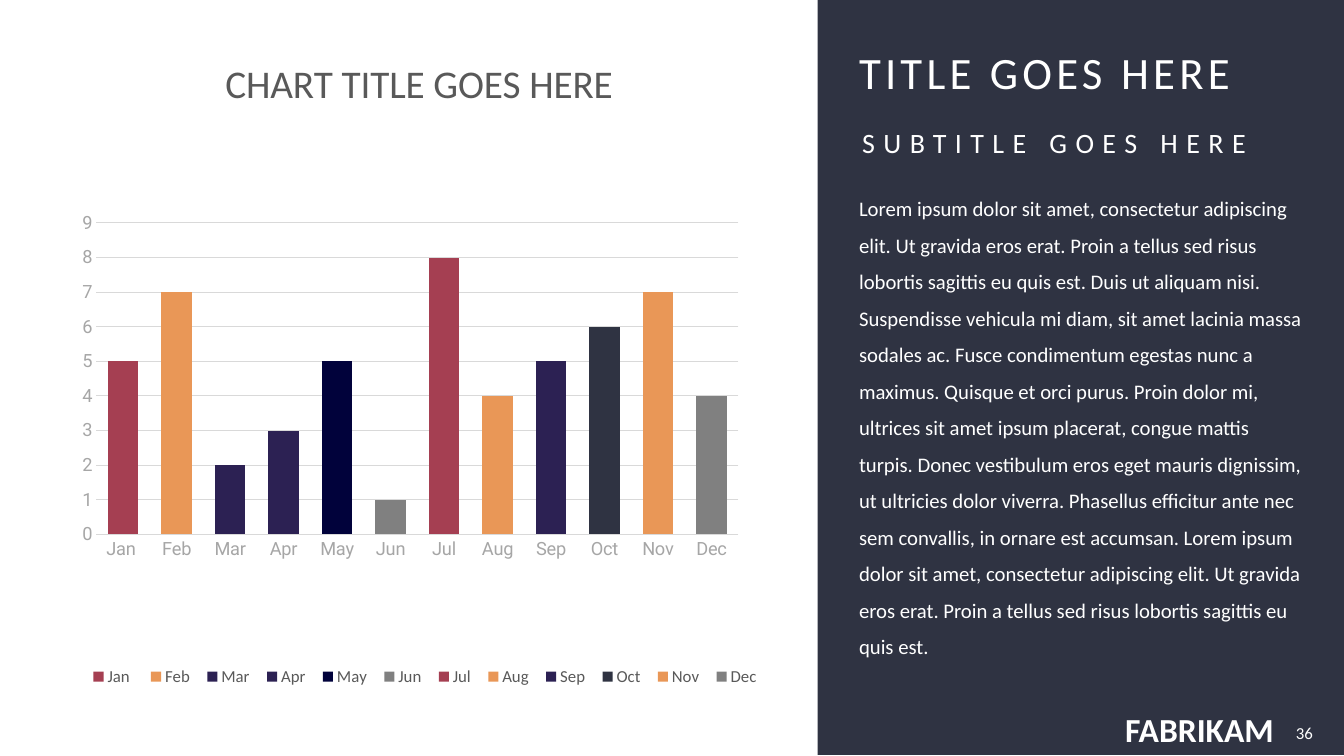
from lxml import etree
from pptx import Presentation
from pptx.chart.data import CategoryChartData
from pptx.dml.color import RGBColor
from pptx.enum.chart import XL_CHART_TYPE, XL_LEGEND_POSITION, XL_TICK_MARK
from pptx.enum.shapes import MSO_SHAPE
from pptx.enum.text import MSO_ANCHOR, MSO_AUTO_SIZE, PP_ALIGN
from pptx.oxml.ns import qn
from pptx.util import Inches, Pt

COLUMN = XL_CHART_TYPE.COLUMN_CLUSTERED
BOTTOM = XL_LEGEND_POSITION.BOTTOM
NO_TICK = XL_TICK_MARK.NONE
RECT = MSO_SHAPE.RECTANGLE
TOP, MIDDLE = MSO_ANCHOR.TOP, MSO_ANCHOR.MIDDLE
NO_FIT = MSO_AUTO_SIZE.NONE
LEFT, RIGHT = PP_ALIGN.LEFT, PP_ALIGN.RIGHT

NAVY, WHITE, GRID = "2F3342", "FFFFFF", "D9D9D9"
RED, ORANGE, PURPLE, INK, GRAY = "A53F52", "E99757", "2C2153", "01023B", "808080"

MONTHS = [
    ("Jan ", 5, RED), ("Feb", 7, ORANGE), ("Mar", 2, PURPLE), ("Apr", 3, PURPLE),
    ("May", 5, INK), ("Jun", 1, GRAY), ("Jul", 8, RED), ("Aug", 4, ORANGE),
    ("Sep", 5, PURPLE), ("Oct", 6, NAVY), ("Nov", 7, ORANGE), ("Dec", 4, GRAY),
]

BODY = (
    "Lorem ipsum dolor sit amet, consectetur adipiscing elit. Ut gravida eros erat. "
    "Proin a tellus sed risus lobortis sagittis eu quis est. Duis ut aliquam nisi. "
    "Suspendisse vehicula mi diam, sit amet lacinia massa sodales ac. Fusce condimentum "
    "egestas nunc a maximus. Quisque et orci purus. Proin dolor mi, ultrices sit amet "
    "ipsum placerat, congue mattis turpis. Donec vestibulum eros eget mauris dignissim, "
    "ut ultricies dolor viverra. Phasellus efficitur ante nec sem convallis, in ornare "
    "est accumsan. Lorem ipsum dolor sit amet, consectetur adipiscing elit. Ut gravida "
    "eros erat. Proin a tellus sed risus lobortis sagittis eu quis est."
)


def rgb(color):
    return RGBColor.from_string(color)


def set_attrs(obj, **values):
    for name, value in values.items():
        setattr(obj, name, value)


def set_font(font, size, color, name="Calibri", bold=False):
    set_attrs(font, size=Pt(size), name=name, bold=bold)
    font.color.rgb = rgb(color)


def set_text(sp, box, text, size, anchor=MIDDLE, align=LEFT, side=0.0, edge=0.05,
             wrap=True, line=1.0, spacing=0, bold=False):
    set_attrs(sp, **dict(zip(("left", "top", "width", "height"), map(Inches, box))))
    tf = sp.text_frame
    set_attrs(tf, auto_size=NO_FIT, word_wrap=wrap, vertical_anchor=anchor,
              margin_left=Inches(side), margin_right=Inches(side),
              margin_top=Inches(edge), margin_bottom=Inches(edge))
    p = tf.paragraphs[0]
    set_attrs(p, alignment=align, line_spacing=line, space_before=Pt(0))
    if sp.is_placeholder:
        pPr = p._p.get_or_add_pPr()
        pPr.set("marL", "0")
        pPr.set("indent", "0")
        etree.SubElement(pPr, qn("a:buNone"))
    r = p.add_run()
    r.text = text
    set_font(r.font, size, WHITE, bold=bold)
    if spacing:
        r._r.get_or_add_rPr().set("spc", str(spacing * 100))


def add_panel(s, left, top, width, height, color):
    sp = s.shapes.add_shape(RECT, Inches(left), Inches(top), Inches(width), Inches(height))
    sp.shadow.inherit = False
    sp.fill.solid()
    sp.fill.fore_color.rgb = rgb(color)
    sp.line.fill.background()
    # Send behind the placeholders
    sp.element.getparent().insert(2, sp.element)


def set_layout(parent, index, **values):
    """Place a chart part by fractions of the chart's size."""
    for old in parent.findall(qn("c:layout")):
        parent.remove(old)
    layout = etree.Element(qn("c:layout"))
    manual = etree.SubElement(layout, qn("c:manualLayout"))
    for tag, value in values.items():
        etree.SubElement(manual, qn("c:" + tag)).set("val", str(value))
    parent.insert(index, layout)


def style_axis(axis):
    set_attrs(axis, major_tick_mark=NO_TICK, minor_tick_mark=NO_TICK)
    set_font(axis.tick_labels.font, 13, "A6A6A6", "Roboto")


def style_line(line):
    line.color.rgb = rgb(GRID)
    line.width = Pt(0.75)


def add_month_chart(s):
    data = CategoryChartData()
    data.categories = [month for month, _, _ in MONTHS]
    data.add_series("Series 1", [value for _, value, _ in MONTHS])
    chart = s.shapes.add_chart(COLUMN, Inches(0), Inches(0), Inches(8.11), Inches(7.5),
                               data).chart
    set_font(chart.font, 15, "000000", "Roboto")

    # Columns
    plot = chart.plots[0]
    set_attrs(plot, gap_width=75, overlap=-25, vary_by_categories=True)
    for i, (_, _, color) in enumerate(MONTHS):
        fill = plot.series[0].points[i].format.fill
        fill.solid()
        fill.fore_color.rgb = rgb(color)
    set_layout(chart.element.find(".//" + qn("c:plotArea")), 0, layoutTarget="inner",
               xMode="edge", yMode="edge", x=0.118, y=0.295, w=0.785, h=0.412)

    # Axes
    months, values = chart.category_axis, chart.value_axis
    style_axis(months)
    style_axis(values)
    style_line(months.format.line)
    style_line(values.major_gridlines.format.line)
    values.format.line.fill.background()
    set_attrs(values, minimum_scale=0, maximum_scale=9, major_unit=1)

    # Title and legend
    chart.has_title = True
    title = chart.chart_title
    p = title.text_frame.paragraphs[0]
    r = p.add_run()
    r.text = "CHART TITLE GOES HERE"
    set_font(r.font, 28, "595959")
    set_layout(title._element, 1, xMode="edge", yMode="edge", x=0.267, y=0.066)
    chart.has_legend = True
    set_attrs(chart.legend, position=BOTTOM, include_in_layout=False)
    set_font(chart.legend.font, 12, "595959")
    set_layout(chart.legend._element, 1, xMode="edge", yMode="edge",
               x=0.1, y=0.87, w=0.84, h=0.05)


def main():
    prs = Presentation()
    set_attrs(prs, slide_width=Inches(13.33), slide_height=Inches(7.5))
    s = prs.slides.add_slide(prs.slide_layouts[3])
    title, subtitle, body = s.placeholders

    # Side panel and chart
    add_panel(s, 8.11, 0, 5.22, 7.49, NAVY)
    add_month_chart(s)

    # Panel text
    set_text(title, (8.52, 0.4, 4.39, 0.63), "TITLE GOES HERE", 32, spacing=3)
    set_text(subtitle, (8.55, 1.1, 4.37, 0.45), "SUBTITLE GOES HERE", 20,
             line=1.5, spacing=6)
    set_text(body, (8.52, 1.78, 4.39, 5.07), BODY, 14.8, anchor=TOP, line=1.47)

    # Footer
    footer = (
        ((11.14, 7.01, 1.53, 0.45), "FABRIKAM", 24,
         dict(side=0.02, edge=0.02, wrap=False, bold=True)),
        ((12.63, 7.07, 0.49, 0.4), "36", 12, dict(side=0.1, align=RIGHT)),
    )
    for box, text, size, style in footer:
        set_text(s.shapes.add_textbox(*map(Inches, box)), box, text, size, **style)

    prs.save("out.pptx")


if __name__ == "__main__":
    main()
